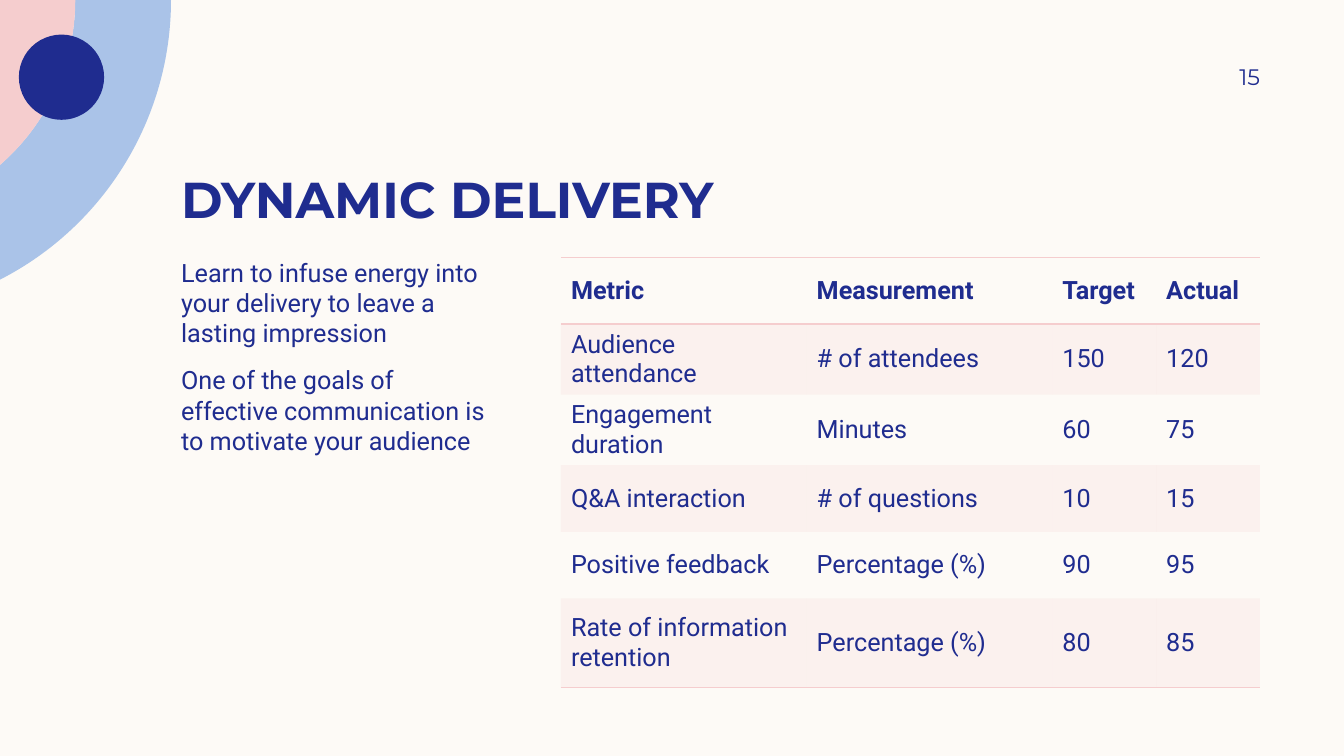
import dataclasses
import math

import lxml.etree
import pptx
import pptx.dml.color
import pptx.enum.shapes
import pptx.enum.text
import pptx.oxml.ns
import pptx.util

RGB = pptx.dml.color.RGBColor
ALIGN = pptx.enum.text.PP_ALIGN
ANCHOR = pptx.enum.text.MSO_ANCHOR
qn = pptx.oxml.ns.qn
CREAM = RGB(0xFD, 0xFA, 0xF6)
NAVY = RGB(0x1F, 0x2C, 0x8F)
BLUE = RGB(0xAA, 0xC3, 0xE8)
PINK = RGB(0xF5, 0xCD, 0xCE)
HEADING_FONT, BODY_FONT = "Montserrat", "Roboto"
PLAIN_TABLE_STYLE = "{2D5ABB26-0587-4C30-8999-92F81FD0307C}"

# Square grid: 160 columns by 90 rows
GRID_COLUMNS, GRID_ROWS = 160, 90
UNIT = pptx.util.Inches(7.5) / GRID_ROWS
LEFT, RIGHT, CONTENT_TOP = 20.38, 150, 30.63


@dataclasses.dataclass
class Area:
    left: float
    top: float
    width: float
    height: float

    def emu(self) -> list[int]:
        return [grid(n) for n in dataclasses.astuple(self)]


@dataclasses.dataclass
class TextBlock:
    area: Area
    paragraphs: list[str]
    style: dict
    anchor: ANCHOR = ANCHOR.TOP
    margins: tuple = (1.2, 0, 1.2, 0)


@dataclasses.dataclass
class Band:
    inner: float
    outer: float
    colour: RGB


TEXTS = [
    TextBlock(Area(LEFT, 14.35, RIGHT - LEFT, 12.84), ["DYNAMIC DELIVERY"],
              dict(font=HEADING_FONT, size=36, bold=True), ANCHOR.BOTTOM),
    TextBlock(Area(LEFT, CONTENT_TOP, 39, 48.6),
              ["Learn to infuse energy into your delivery to leave a lasting impression",
               "One of the goals of effective communication is to motivate your audience"],
              dict(space_after=12)),
    TextBlock(Area(136, 6, RIGHT - 136, 6.24), ["15"],
              dict(font=HEADING_FONT, size=16, align=ALIGN.RIGHT),
              ANCHOR.MIDDLE, (1.2, 0.6, 0, 0.6)),
]

# Concentric bands around a centre to the left of the slide
BAND_CENTRE = -17.04
BANDS = [Band(26, 37.4, BLUE), Band(0, 26, PINK)]
DOT = Area(2.25, 4.12, 10.15, 10.15)

COLUMN_WIDTHS = [29.25, 29.25, 12.36, 12.36]
ROW_HEIGHTS = [7.94, 7.94, 8.36, 7.94, 7.94, 10.64]
TABLE = Area(RIGHT - sum(COLUMN_WIDTHS), CONTENT_TOP, sum(COLUMN_WIDTHS), sum(ROW_HEIGHTS))
METRICS = [
    ("Metric", "Measurement", "Target", "Actual"),
    ("Audience attendance", "# of attendees", "150", "120"),
    ("Engagement duration", "Minutes", "60", "75"),
    ("Q&A interaction", "# of questions", "10", "15"),
    ("Positive feedback", "Percentage (%)", "90", "95"),
    ("Rate of information retention", "Percentage (%)", "80", "85"),
]


def grid(count: float) -> int:
    return round(count * UNIT)


def write(para, text: str, *, font: str = BODY_FONT, size: float = 18, bold: bool = False,
          colour: RGB = NAVY, align: ALIGN = ALIGN.LEFT, space_after: float = 0) -> None:
    para.alignment = align
    para.space_after = pptx.util.Pt(space_after)
    span = para.add_run()
    span.text = text
    span.font.name = font
    span.font.size = pptx.util.Pt(size)
    span.font.bold = bold
    span.font.color.rgb = colour


def paint(shape, colour: RGB) -> None:
    shape.shadow.inherit = False
    shape.fill.solid()
    shape.fill.fore_color.rgb = colour
    shape.line.fill.background()


def add_text(page, block: TextBlock) -> None:
    frame = page.shapes.add_textbox(*block.area.emu()).text_frame
    frame.word_wrap = True
    frame.vertical_anchor = block.anchor
    (frame.margin_left, frame.margin_top,
     frame.margin_right, frame.margin_bottom) = map(grid, block.margins)
    for index, text in enumerate(block.paragraphs):
        para = frame.add_paragraph() if index else frame.paragraphs[0]
        write(para, text, **block.style)


def arc(radius: float) -> list[tuple[int, int]]:
    """Bezier points from the slide's top edge round to its left edge."""
    if not radius:
        return [(0, 0)]
    sweep = math.acos(-BAND_CENTRE / radius)
    pull = 4 / 3 * math.tan(sweep / 4)
    cos, sin = math.cos(sweep), math.sin(sweep)
    units = [(1, 0), (1, pull), (cos + pull * sin, sin - pull * cos), (cos, sin)]
    return [(grid(BAND_CENTRE + radius * x), grid(radius * y)) for x, y in units]


def bend(segment, points: list[tuple[int, int]]) -> None:
    """Turn a straight segment into a curve through two handles to its end."""
    curve = lxml.etree.Element(qn("a:cubicBezTo"))
    for x, y in points:
        lxml.etree.SubElement(curve, qn("a:pt"), x=str(x), y=str(y))
    segment.getparent().replace(segment, curve)


def add_band(page, band: Band) -> None:
    outer, inner = arc(band.outer), arc(band.inner)[::-1]
    corners = [outer[0], outer[-1], inner[0]]
    if band.inner:
        corners.append(inner[-1])
    builder = page.shapes.build_freeform(*corners[0])
    builder.add_line_segments(corners[1:], close=True)
    shape = builder.convert_to_shape()
    segments = list(shape._element.iter(qn("a:lnTo")))
    bend(segments[0], outer[1:])
    if band.inner:
        bend(segments[2], inner[1:])
    paint(shape, band.colour)


def add_border(cell, side: str) -> None:
    properties = cell._tc.get_or_add_tcPr()
    line = lxml.etree.SubElement(properties, qn(f"a:ln{side}"), w=str(pptx.util.Pt(1)))
    solid = lxml.etree.SubElement(line, qn("a:solidFill"))
    lxml.etree.SubElement(solid, qn("a:srgbClr"), val=str(PINK))


def shade(cell) -> None:
    cell.fill.solid()
    cell.fill.fore_color.rgb = PINK
    colour = cell._tc.tcPr.find(qn("a:solidFill"))[0]
    lxml.etree.SubElement(colour, qn("a:alpha"), val="20000")


def add_metrics(page) -> None:
    table = page.shapes.add_table(len(METRICS), len(COLUMN_WIDTHS), *TABLE.emu()).table
    table.first_row = table.horz_banding = False
    table._tbl.tblPr.find(qn("a:tableStyleId")).text = PLAIN_TABLE_STYLE
    for column, width in zip(table.columns, COLUMN_WIDTHS):
        column.width = grid(width)
    borders = {0: "TB", len(METRICS) - 1: "B"}
    for index, (row, height, values) in enumerate(zip(table.rows, ROW_HEIGHTS, METRICS)):
        row.height = grid(height)
        for cell, value in zip(row.cells, values):
            cell.vertical_anchor = ANCHOR.MIDDLE
            write(cell.text_frame.paragraphs[0], value, bold=index == 0)
            for side in borders.get(index, ""):
                add_border(cell, side)
            if index % 2:
                shade(cell)
            else:
                cell.fill.background()


def main() -> None:
    deck = pptx.Presentation()
    deck.slide_width, deck.slide_height = grid(GRID_COLUMNS), grid(GRID_ROWS)
    page = deck.slides.add_slide(deck.slide_layouts[6])
    page.background.fill.solid()
    page.background.fill.fore_color.rgb = CREAM

    # Corner decoration
    for band in BANDS:
        add_band(page, band)
    paint(page.shapes.add_shape(pptx.enum.shapes.MSO_SHAPE.OVAL, *DOT.emu()), NAVY)

    # Title, body, page number and table
    for block in TEXTS:
        add_text(page, block)
    add_metrics(page)
    deck.save("out.pptx")


if __name__ == "__main__":
    main()
